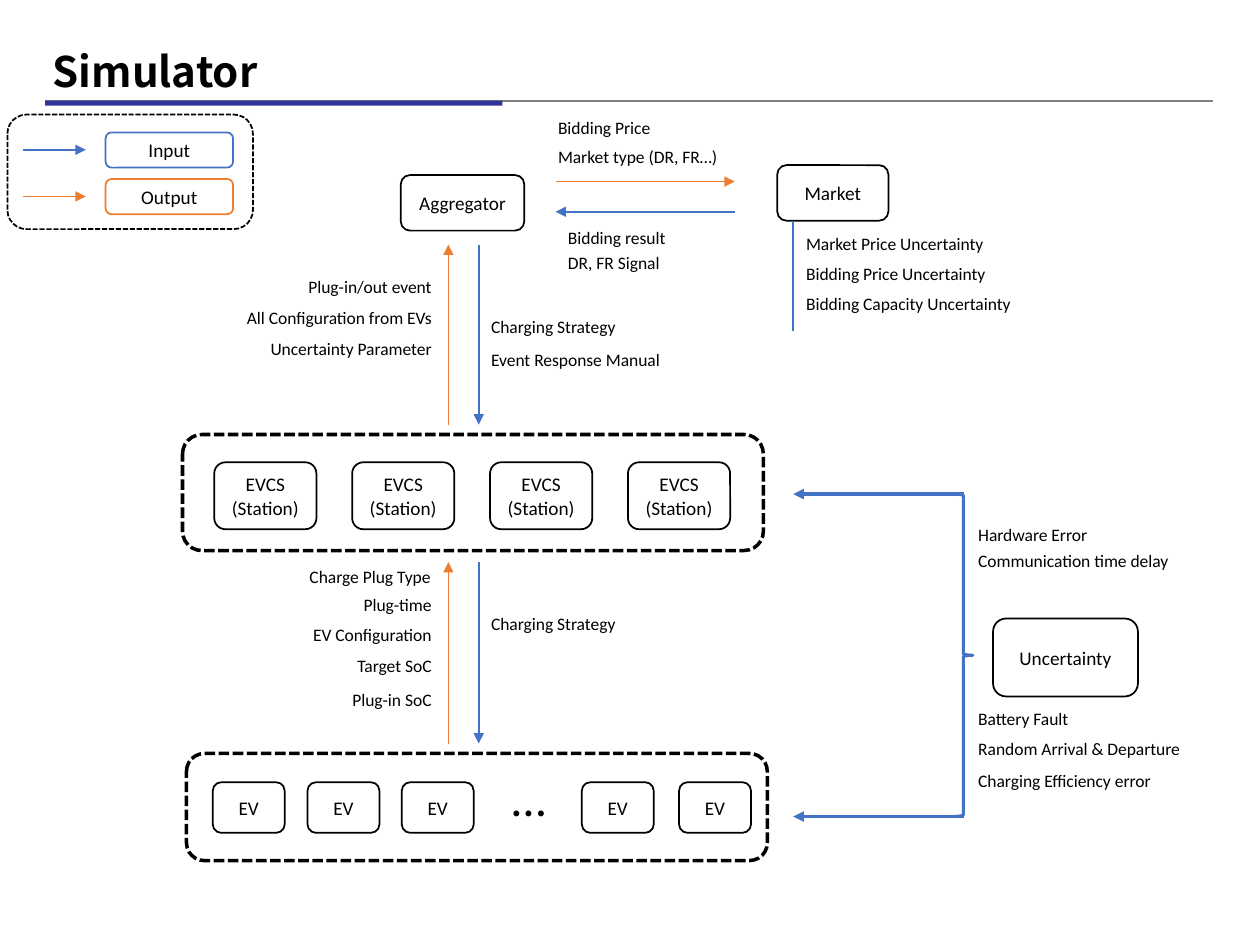
"""Build the simulator diagram slide of an EV charging market."""
from lxml import etree
from pptx import Presentation
from pptx import util as u
from pptx.dml.color import RGBColor
from pptx.enum import dml, shapes, text
from pptx.oxml.ns import qn

COLORS = {"ink": "000000", "input": "4472C4", "output": "ED7D31",
          "rule": "808080", "accent": "333399"}
ALIGN = {"left": text.PP_ALIGN.LEFT, "center": text.PP_ALIGN.CENTER,
         "right": text.PP_ALIGN.RIGHT}


def color(name):
    return RGBColor.from_string(COLORS[name])


def write(shape, words, size=11, font="Calibri", bold=False, align="center",
          middle=True, spacing=None):
    frame = shape.text_frame
    frame.word_wrap = True
    frame.vertical_anchor = text.MSO_ANCHOR.MIDDLE if middle else text.MSO_ANCHOR.TOP
    for index, line in enumerate(words.split("\n")):
        para = frame.add_paragraph() if index else frame.paragraphs[0]
        para.alignment = ALIGN[align]
        para.line_spacing = spacing
        span = para.add_run()
        span.text = line
        span.font.size = u.Pt(size)
        span.font.name = font
        span.font.bold = bold
        span.font.color.rgb = color("ink")
        east_asian = etree.SubElement(span.font._element, qn("a:ea"))
        east_asian.set("typeface", font)


def add_text(page, words, left, top, width, height, **style):
    box = page.shapes.add_textbox(u.Cm(left), u.Cm(top), u.Cm(width), u.Cm(height))
    write(box, words, **style)


def add_labels(page, edge, rows, align="left"):
    for words, top, width in rows:
        left = edge - width if align == "right" else edge
        add_text(page, words, left, top, width, 0.69, size=10, align=align, middle=False)


def add_outline(page, left, top, width, height, words="", line="ink", weight=1,
                dashed=False, kind=shapes.MSO_SHAPE.ROUNDED_RECTANGLE):
    box = page.shapes.add_shape(kind, u.Cm(left), u.Cm(top), u.Cm(width), u.Cm(height))
    box.shadow.inherit = False
    box.fill.background()
    box.line.color.rgb = color(line)
    box.line.width = u.Pt(weight)
    if dashed:
        box.line.dash_style = dml.MSO_LINE.SQUARE_DOT
    if words:
        write(box, words)


def add_line(page, start, end, line="input", weight=1, arrow=True):
    connector = page.shapes.add_connector(
        shapes.MSO_CONNECTOR.STRAIGHT, *[u.Cm(value) for value in (*start, *end)])
    connector.line.color.rgb = color(line)
    connector.line.width = u.Pt(weight)
    if arrow:
        tail = etree.SubElement(connector.line._get_or_add_ln(), qn("a:tailEnd"))
        tail.set("type", "triangle")
    etree.SubElement(connector._element.spPr, qn("a:effectLst"))


def add_header(page):
    add_line(page, (0.91, 2.03), (24.46, 2.03), line="rule", arrow=False)
    bar = page.shapes.add_shape(shapes.MSO_SHAPE.RECTANGLE,
                                u.Cm(0.91), u.Cm(2.03), u.Cm(9.22), u.Cm(0.1))
    bar.shadow.inherit = False
    bar.fill.solid()
    bar.fill.fore_color.rgb = color("accent")
    bar.line.fill.background()
    add_text(page, "Simulator", 0.81, 0.91, 22.86, 1.17, size=24,
             font="Noto Sans CJK KR", bold=True, align="left", spacing=0.9)


def add_legend(page):
    for words, line, top in (("Input", "input", 2.67), ("Output", "output", 3.61)):
        add_outline(page, 2.13, top, 2.57, 0.71, words, line=line)
        add_line(page, (0.46, top + 0.35), (1.73, top + 0.35), line=line)
    add_outline(page, 0.15, 2.31, 4.95, 2.31, dashed=True)


def add_market(page):
    add_outline(page, 8.08, 3.53, 2.49, 1.12, "Aggregator")
    add_outline(page, 15.67, 3.33, 2.24, 1.12, "Market")
    add_line(page, (11.2, 3.66), (14.81, 3.66), line="output")
    add_line(page, (14.81, 4.27), (11.2, 4.27))
    add_line(page, (15.98, 6.68), (15.98, 4.45), arrow=False)
    add_labels(page, 11, [("Bidding Price", 2.24, 3.94),
                          ("Market type (DR, FR…)", 2.82, 3.94)])
    add_labels(page, 11.2, [("Bidding result", 4.45, 3.94),
                            ("DR, FR Signal", 4.95, 3.94)])
    add_labels(page, 16, [("Market Price Uncertainty", 4.57, 4.37),
                          ("Bidding Price Uncertainty", 5.18, 4.37),
                          ("Bidding Capacity Uncertainty", 5.79, 5.05)])


def add_exchanges(page):
    for top, bottom in ((4.93, 8.56), (11.33, 14.99)):
        add_line(page, (9.04, bottom), (9.04, top), line="output")
        add_line(page, (9.65, top), (9.65, bottom))
    add_labels(page, 8.95, [("Plug-in/out event", 5.44, 3.15),
                            ("All Configuration from EVs", 6.07, 4.67),
                            ("Uncertainty Parameter", 6.68, 4.01),
                            ("Plug-time", 11.86, 2.06),
                            ("EV Configuration", 12.45, 3.96),
                            ("Target SoC", 13.08, 2.11),
                            ("Plug-in SoC", 13.77, 2.11)], align="right")
    add_labels(page, 5.99, [("Charge Plug Type", 11.28, 3.1)])
    add_labels(page, 9.65, [("Charging Strategy", 6.25, 3.38),
                            ("Event Response Manual", 6.91, 4.05),
                            ("Charging Strategy", 12.24, 3.38)])


def add_stations(page):
    for index in range(4):
        add_outline(page, 4.32 + 2.78 * index, 9.32, 2.06, 1.35, "EVCS\n(Station)")
    add_outline(page, 3.68, 8.76, 11.71, 2.34, weight=2, dashed=True)


def add_vehicles(page):
    for left in (4.29, 6.2, 8.1, 11.73, 13.69):
        add_outline(page, left, 15.77, 1.45, 1.02, "EV")
    add_text(page, "…", 9.91, 15.34, 1.5, 1.45, size=28, middle=False)
    add_outline(page, 3.76, 15.19, 11.71, 2.16, weight=2, dashed=True)


def add_uncertainty(page):
    add_outline(page, 20.02, 12.47, 2.92, 1.57, "Uncertainty")
    for height in (9.96, 16.46):
        add_line(page, (19.44, height), (15.99, height), weight=2)
    add_outline(page, 19.23, 9.96, 0.38, 6.5, line="input", weight=1.75,
                kind=shapes.MSO_SHAPE.RIGHT_BRACE)
    add_labels(page, 19.47, [("Hardware Error", 10.44, 4.37),
                             ("Communication time delay", 10.97, 4.37),
                             ("Battery Fault", 14.15, 4.37),
                             ("Random Arrival & Departure", 14.76, 4.65),
                             ("Charging Efficiency error", 15.39, 4.37)])


def main():
    deck = Presentation()
    deck.slide_width, deck.slide_height = u.Cm(25.4), u.Cm(19.05)
    page = deck.slides.add_slide(deck.slide_layouts[6])
    for add_part in (add_header, add_legend, add_market, add_exchanges,
                     add_stations, add_vehicles, add_uncertainty):
        add_part(page)
    deck.save("out.pptx")


main()
